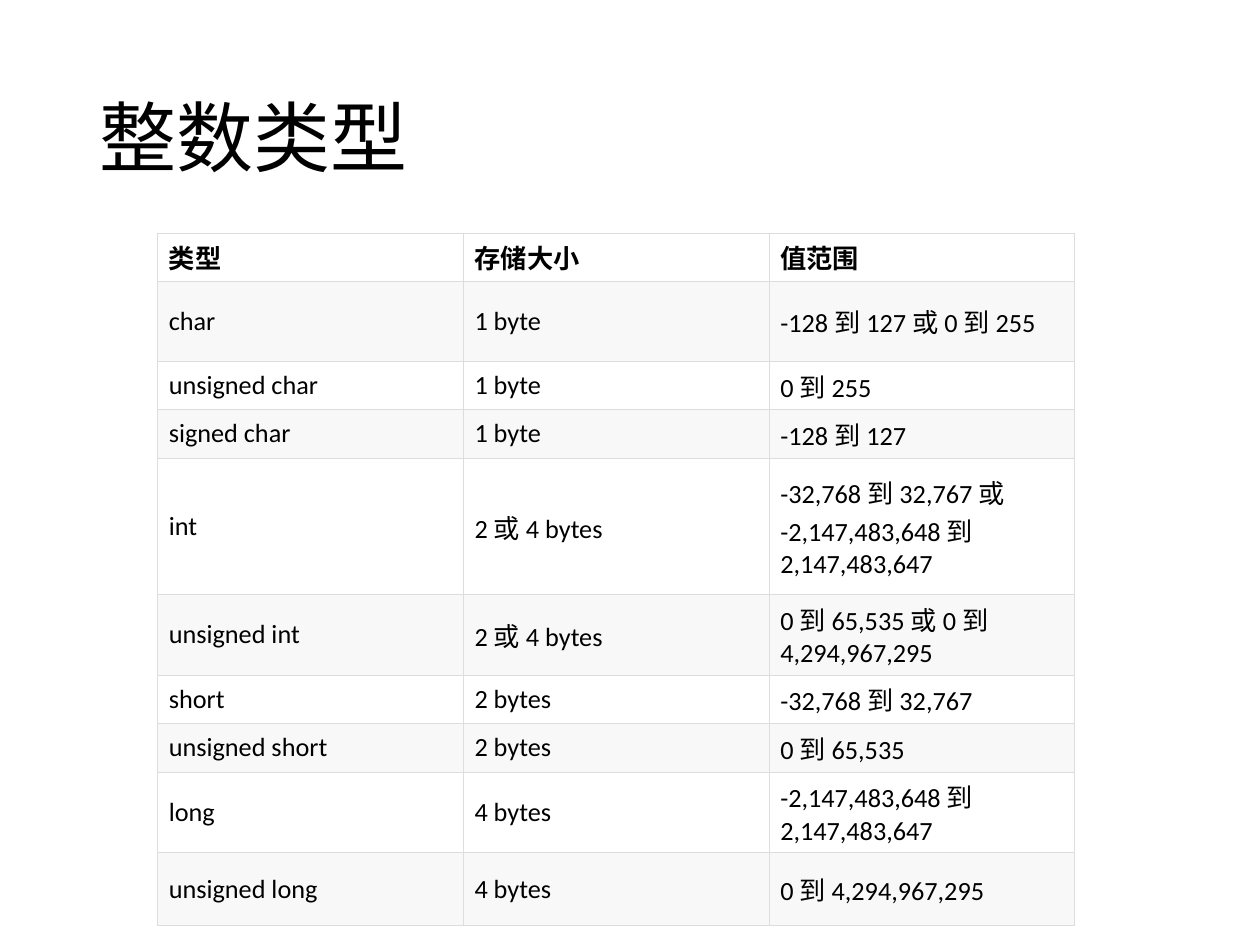
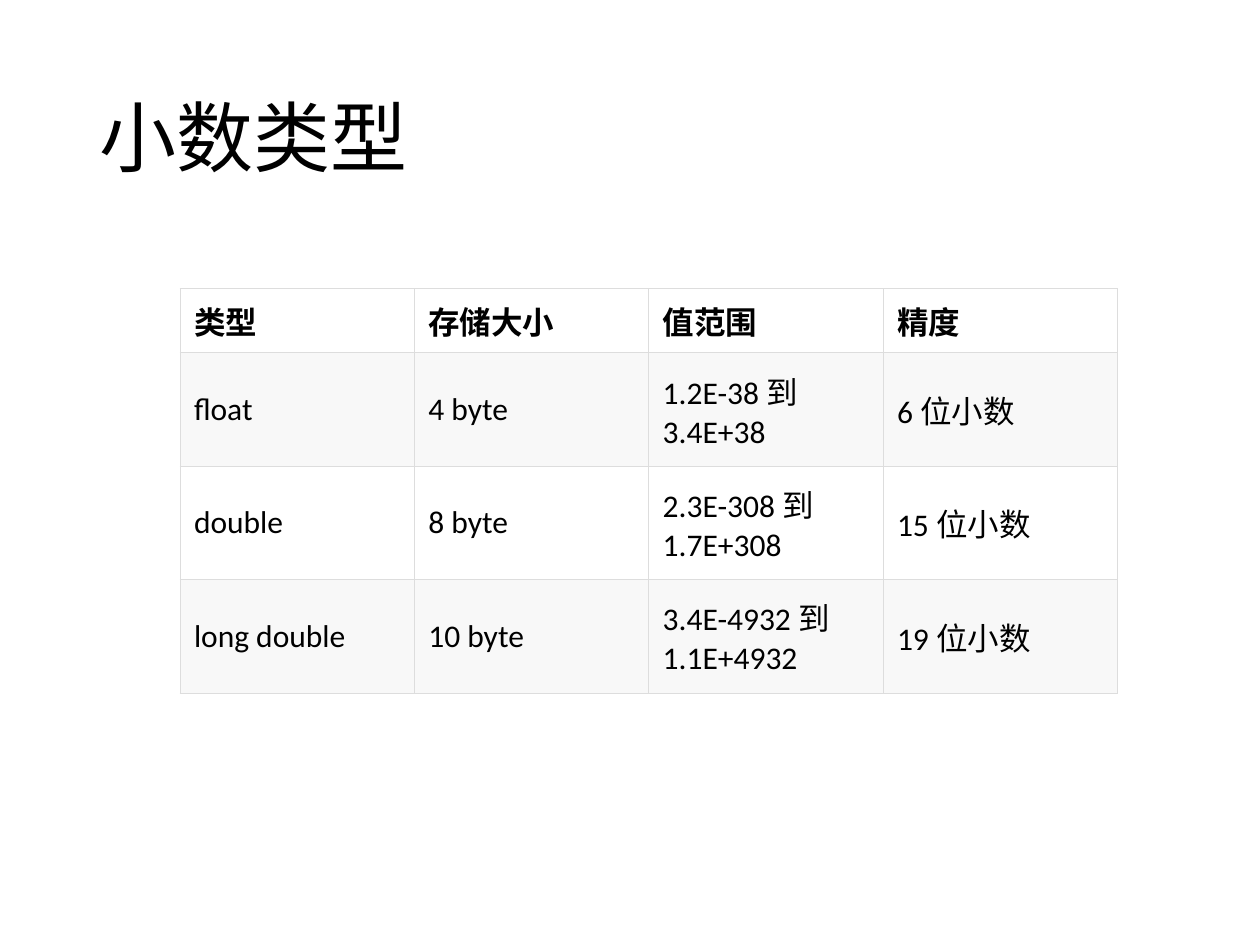
from lxml import etree
from pptx import Presentation
from pptx.dml.color import RGBColor
from pptx.enum import text
from pptx.oxml import ns
from pptx.util import Inches, Pt

BLACK = RGBColor(0x00, 0x00, 0x00)
WHITE = RGBColor(0xFF, 0xFF, 0xFF)
STRIPE = RGBColor(0xF8, 0xF8, 0xF8)
BORDER = RGBColor(0xDD, 0xDD, 0xDD)
FONT = "Calibri"

INTEGER_ROWS = [
    ("类型", "存储大小", "值范围"),
    ("char", "1 byte", "-128 到 127 或 0 到 255"),
    ("unsigned char", "1 byte", "0 到 255"),
    ("signed char", "1 byte", "-128 到 127"),
    ("int", "2 或 4 bytes", "-32,768 到 32,767 或 -2,147,483,648 到 2,147,483,647"),
    ("unsigned int", "2 或 4 bytes", "0 到 65,535 或 0 到 4,294,967,295"),
    ("short", "2 bytes", "-32,768 到 32,767"),
    ("unsigned short", "2 bytes", "0 到 65,535"),
    ("long", "4 bytes", "-2,147,483,648 到 2,147,483,647"),
    ("unsigned long", "4 bytes", "0 到 4,294,967,295"),
]
INTEGER_HEIGHTS = [0.38, 0.64, 0.38, 0.39, 1.08, 0.64, 0.38, 0.39, 0.64, 0.58]

DECIMAL_ROWS = [
    ("类型", "存储大小", "值范围", "精度"),
    ("float", "4 byte", "1.2E-38 到 3.4E+38", "6 位小数"),
    ("double", "8 byte", "2.3E-308 到 1.7E+308", "15 位小数"),
    ("long double", "10 byte", "3.4E-4932 到 1.1E+4932", "19 位小数"),
]
DECIMAL_HEIGHTS = [0.51, 0.9, 0.9, 0.9]

# title, rows, row heights, left, top, table width, font size, side and top margins
PAGES = [
    ("整数类型", INTEGER_ROWS, INTEGER_HEIGHTS, 1.25, 1.85, 7.28, 15, 0.09, 0.04),
    ("小数类型", DECIMAL_ROWS, DECIMAL_HEIGHTS, 1.43, 2.29, 7.44, 18, 0.11, 0.05),
]


def style_paragraph(paragraph, size, bold=False):
    """Give every run of the paragraph the shared font and colour."""
    for run in paragraph.runs:
        run.font.name = FONT
        run.font.size = Pt(size)
        run.font.bold = bold
        run.font.color.rgb = BLACK


def add_borders(cell):
    """Draw a thin line on all four sides of a cell that has no fill yet."""
    properties = cell._tc.get_or_add_tcPr()
    for side in ("a:lnL", "a:lnR", "a:lnT", "a:lnB"):
        line = etree.SubElement(properties, ns.qn(side), w=str(Pt(0.6)))
        fill = etree.SubElement(line, ns.qn("a:solidFill"))
        etree.SubElement(fill, ns.qn("a:srgbClr"), val=str(BORDER))


presentation = Presentation()
presentation.slide_width = Inches(10)
presentation.slide_height = Inches(7.5)
blank_layout = presentation.slide_layouts[6]

for title, rows, heights, left, top, width, size, side_margin, top_margin in PAGES:
    slide = presentation.slides.add_slide(blank_layout)

    title_box = slide.shapes.add_textbox(Inches(0.69), Inches(0.4), Inches(8.62), Inches(1.45))
    title_frame = title_box.text_frame
    title_frame.word_wrap = True
    title_frame.vertical_anchor = text.MSO_ANCHOR.MIDDLE
    title_frame.text = title
    title_frame.paragraphs[0].line_spacing = 0.9
    style_paragraph(title_frame.paragraphs[0], 44)

    # add_table shares the width equally among the columns
    table = slide.shapes.add_table(
        len(rows), len(rows[0]), Inches(left), Inches(top),
        Inches(width), Inches(sum(heights)),
    ).table

    for row_index, (values, height) in enumerate(zip(rows, heights)):
        table.rows[row_index].height = Inches(height)
        for column_index, value in enumerate(values):
            cell = table.cell(row_index, column_index)
            cell.text_frame.text = value
            style_paragraph(cell.text_frame.paragraphs[0], size, bold=row_index == 0)
            cell.vertical_anchor = text.MSO_ANCHOR.MIDDLE
            cell.margin_left = cell.margin_right = Inches(side_margin)
            cell.margin_top = cell.margin_bottom = Inches(top_margin)
            add_borders(cell)
            cell.fill.solid()
            cell.fill.fore_color.rgb = STRIPE if row_index % 2 else WHITE

presentation.save("out.pptx")
